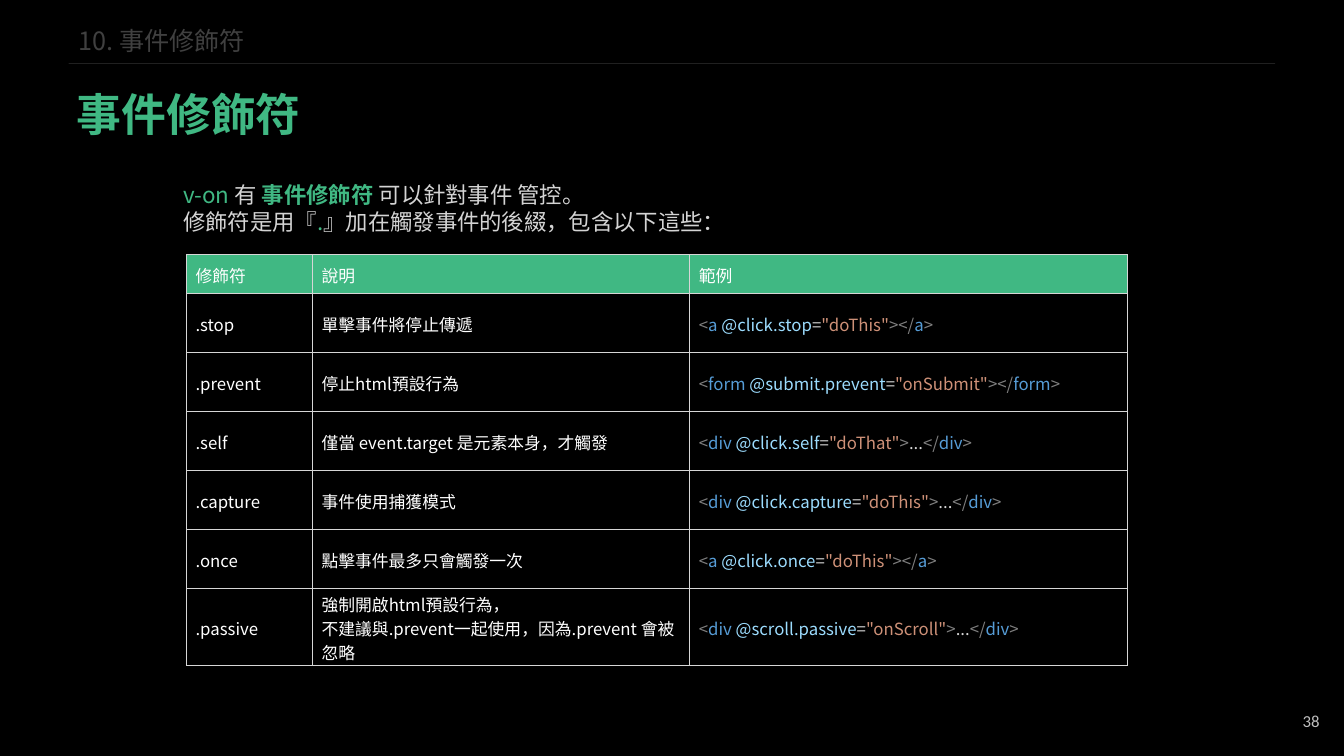
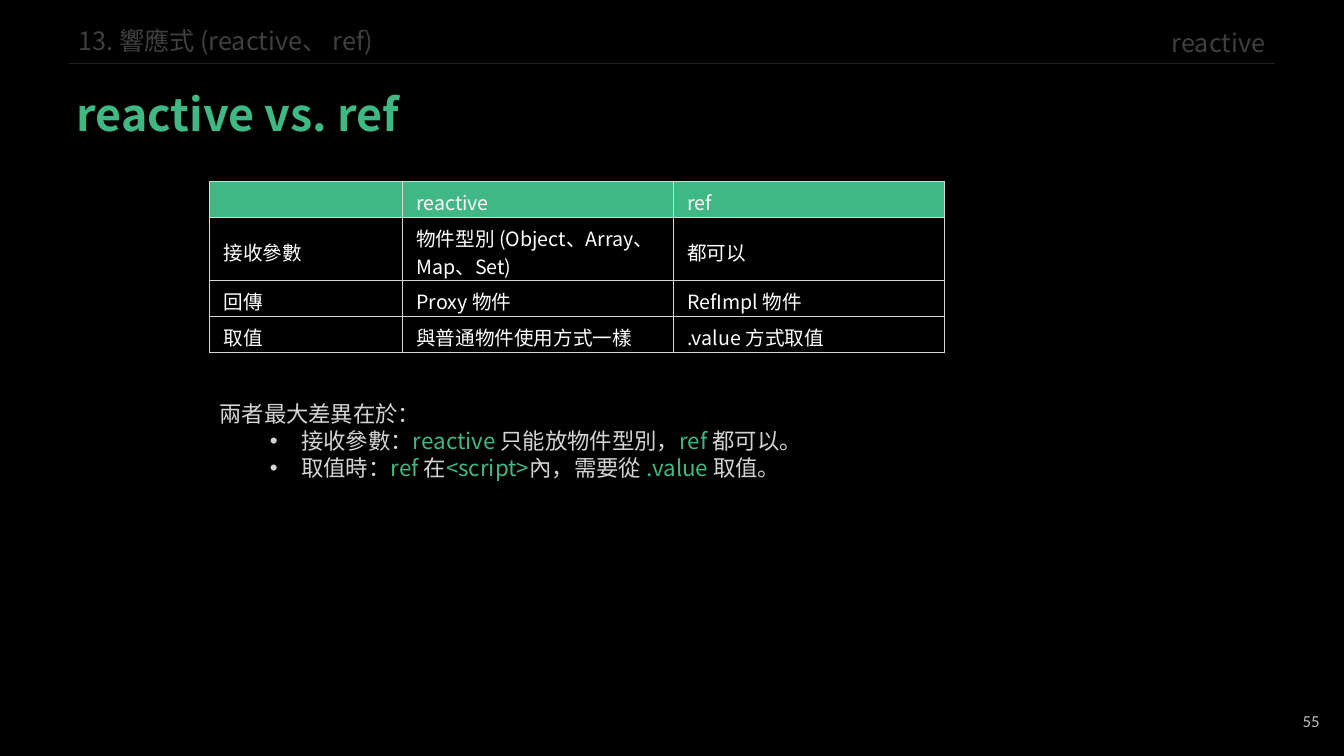
from lxml import etree
from pptx import Presentation
from pptx.dml.color import RGBColor
from pptx.enum import shapes, text
from pptx.oxml import ns
from pptx.util import Pt

BLACK = RGBColor(0x00, 0x00, 0x00)
WHITE = RGBColor(0xFF, 0xFF, 0xFF)
GREEN = RGBColor(0x40, 0xB8, 0x83)
DIM = RGBColor(0x40, 0x40, 0x40)
LIGHT = RGBColor(0xD4, 0xD4, 0xD4)
BORDER = RGBColor(0xD6, 0xD6, 0xD6)
PAGE_GRAY = RGBColor(0xBF, 0xBF, 0xBF)
# Code colours
BRACKET = RGBColor(0x80, 0x80, 0x80)
TAG = RGBColor(0x56, 0x9C, 0xD6)
EVENT = RGBColor(0x9C, 0xDC, 0xFE)
STRING = RGBColor(0xCE, 0x91, 0x78)

FONT = "Noto Sans CJK TC"
LEFT, RIGHT = text.PP_ALIGN.LEFT, text.PP_ALIGN.RIGHT
TOP, MIDDLE = text.MSO_ANCHOR.TOP, text.MSO_ANCHOR.MIDDLE


def add_xml(parent, tag, **attrs):
    return etree.SubElement(parent, ns.qn(tag), attrs)


def write_runs(p, parts, size, font=FONT):
    """Write (text, colour) or (text, colour, bold) parts as runs."""
    for words, color, *bold in parts:
        r = p.add_run()
        r.text = words
        r.font.size = Pt(size)
        r.font.bold = bool(bold and bold[0])
        r.font.color.rgb = color
        r.font.name = font
        add_xml(r.font._element, "a:ea", typeface=font)


def write_lines(tf, lines, size, spacing=None, align=LEFT, font=FONT):
    for i, parts in enumerate(lines):
        p = tf.add_paragraph() if i else tf.paragraphs[0]
        p.alignment = align
        if spacing:
            p.line_spacing = Pt(spacing)
        write_runs(p, parts, size, font)


def set_frame(sp, box, anchor=TOP):
    sp.left, sp.top, sp.width, sp.height = map(Pt, box)
    tf = sp.text_frame
    tf.word_wrap = True
    tf.auto_size = text.MSO_AUTO_SIZE.NONE
    tf.vertical_anchor = anchor
    tf.margin_left = tf.margin_right = Pt(7.2)
    tf.margin_top = tf.margin_bottom = Pt(3.6)
    return tf


def add_text(s, box, lines, size, anchor=TOP, **style):
    sp = s.shapes.add_textbox(*map(Pt, box))
    tf = set_frame(sp, box, anchor)
    write_lines(tf, lines, size, **style)
    return tf


def add_bullet(p):
    p.level = 1
    pPr = p._p.get_or_add_pPr()
    pPr.set("marL", str(Pt(58.5)))
    pPr.set("indent", str(Pt(-22.5)))
    add_xml(pPr, "a:buFont", typeface="Arial")
    add_xml(pPr, "a:buChar", char="•")


def add_rule(s):
    line = s.shapes.add_connector(shapes.MSO_CONNECTOR.STRAIGHT,
                                  Pt(49), Pt(45.3), Pt(910.8), Pt(45.3))
    line.line.width = Pt(0.5)
    line.line.color.rgb = DIM
    spPr = line._element.spPr
    add_xml(spPr.find(".//" + ns.qn("a:srgbClr")), "a:alpha", val="50000")
    add_xml(spPr, "a:effectLst")


def add_slide(prs, chapter, title, page, topic=None):
    """Add a slide with its chapter header, title and page number."""
    s = prs.slides.add_slide(prs.slide_layouts[5])
    tf = set_frame(s.shapes.title, (47.5, 36.7, 769, 60.5))
    write_lines(tf, [[(title, GREEN, True)]], 32, spacing=60)
    add_text(s, (49, 15.8, 300, 27.4), [[(chapter, DIM)]], 18, spacing=20)
    add_rule(s)
    if topic:
        add_text(s, (709.9, 15.8, 200.9, 29), [[(topic, DIM)]], 18,
                 spacing=22, align=RIGHT)
    add_text(s, (733.7, 500.4, 216, 28.8), [[(page, PAGE_GRAY)]], 12,
             anchor=MIDDLE, align=RIGHT, font="Calibri")
    return s


def add_borders(cell):
    tcPr = cell._tc.get_or_add_tcPr()
    for side in "LRTB":
        ln = add_xml(tcPr, "a:ln" + side, w=str(Pt(0.75)))
        add_xml(add_xml(ln, "a:solidFill"), "a:srgbClr", val=str(BORDER))


def add_table(s, left, top, widths, heights, rows, size, side, above):
    """A cell is a string (one paragraph a line) or a list of coloured parts."""
    frame = s.shapes.add_table(len(rows), len(widths), Pt(left), Pt(top),
                               Pt(sum(widths)), Pt(sum(heights)))
    table = frame.table
    table.first_row = table.horz_banding = False
    for column, width in zip(table.columns, widths):
        column.width = Pt(width)
    for i, (row, height) in enumerate(zip(rows, heights)):
        table.rows[i].height = Pt(height)
        for j, content in enumerate(row):
            cell = table.cell(i, j)
            cell.vertical_anchor = MIDDLE
            cell.margin_left = cell.margin_right = Pt(side)
            cell.margin_top, cell.margin_bottom = Pt(above), Pt(0)
            add_borders(cell)
            if i == 0:
                cell.fill.solid()
                cell.fill.fore_color.rgb = GREEN
            else:
                cell.fill.background()
            if isinstance(content, str):
                lines = [[(words, WHITE)] for words in content.split("\n")]
            else:
                lines = [content]
            write_lines(cell.text_frame, lines, size)


def code(tag, event, handler, body=""):
    """Colour an HTML element that has one event listener."""
    if body:
        middle = [(">", BRACKET), (body, LIGHT), ("</", BRACKET)]
    else:
        middle = [("></", BRACKET)]
    return [("<", BRACKET), (tag + " ", TAG), ("@" + event, EVENT),
            ("=", LIGHT), (f'"{handler}"', STRING), *middle,
            (tag, TAG), (">", BRACKET)]


def build_modifiers(prs):
    s = add_slide(prs, "10. 事件修飾符", "事件修飾符", "38")
    add_text(s, (123.8, 125.3, 712, 46), [
        [("v-on ", GREEN), ("有 ", LIGHT), ("事件修飾符 ", GREEN, True),
         ("可以針對事件 管控。", LIGHT)],
        [("修飾符是用『", LIGHT), (".", GREEN),
         ("』加在觸發事件的後綴，包含以下這些：", LIGHT)],
    ], 16, spacing=19.4)
    rows = [
        ("修飾符", "說明", "範例"),
        (".stop", "單擊事件將停止傳遞", code("a", "click.stop", "doThis")),
        (".prevent", "停止html預設行為",
         code("form", "submit.prevent", "onSubmit")),
        (".self", "僅當 event.target 是元素本身，才觸發",
         code("div", "click.self", "doThat", "...")),
        (".capture", "事件使用捕獲模式",
         code("div", "click.capture", "doThis", "...")),
        (".once", "點擊事件最多只會觸發一次",
         code("a", "click.once", "doThis")),
        (".passive",
         "強制開啟html預設行為，\n"
         "不建議與.prevent一起使用，因為.prevent 會被忽略",
         code("div", "scroll.passive", "onScroll", "...")),
    ]
    add_table(s, 133.2, 181.8, (90, 269.5, 312.3),
              [28] + [42.15] * 5 + [54.7], rows, 12, side=6.5, above=2)


def build_comparison(prs):
    s = add_slide(prs, "13. 響應式 (reactive、 ref)", "reactive vs. ref", "55",
                  topic="reactive")
    rows = [
        ("", "reactive", "ref"),
        ("接收參數", "物件型別 (Object、Array、Map、Set)", "都可以"),
        ("回傳", "Proxy 物件", "RefImpl 物件"),
        ("取值", "與普通物件使用方式一樣", ".value 方式取值"),
    ]
    add_table(s, 149.6, 129.5, (137.7, 193.6, 193.6),
              (25.7, 42.9, 25.7, 25.7), rows, 14, side=10, above=4.3)
    # Main differences
    tf = add_text(s, (149.6, 282.2, 572.4, 65.5), [
        [("兩者最大差異在於：", LIGHT)],
        [("接收參數：", LIGHT), ("reactive ", GREEN),
         ("只能放物件型別，", LIGHT), ("ref ", GREEN), ("都可以。", LIGHT)],
        [("取值時：", LIGHT), ("ref ", GREEN), ("在", LIGHT),
         ("<script>", GREEN), ("內，需要從 ", LIGHT), (".value ", GREEN),
         ("取值。", LIGHT)],
    ], 16, spacing=19.4)
    for p in tf.paragraphs[1:]:
        add_bullet(p)


def main():
    prs = Presentation()
    prs.slide_width, prs.slide_height = Pt(960), Pt(540)
    fill = prs.slide_master.background.fill
    fill.solid()
    fill.fore_color.rgb = BLACK
    build_modifiers(prs)
    build_comparison(prs)
    prs.save("out.pptx")


main()
